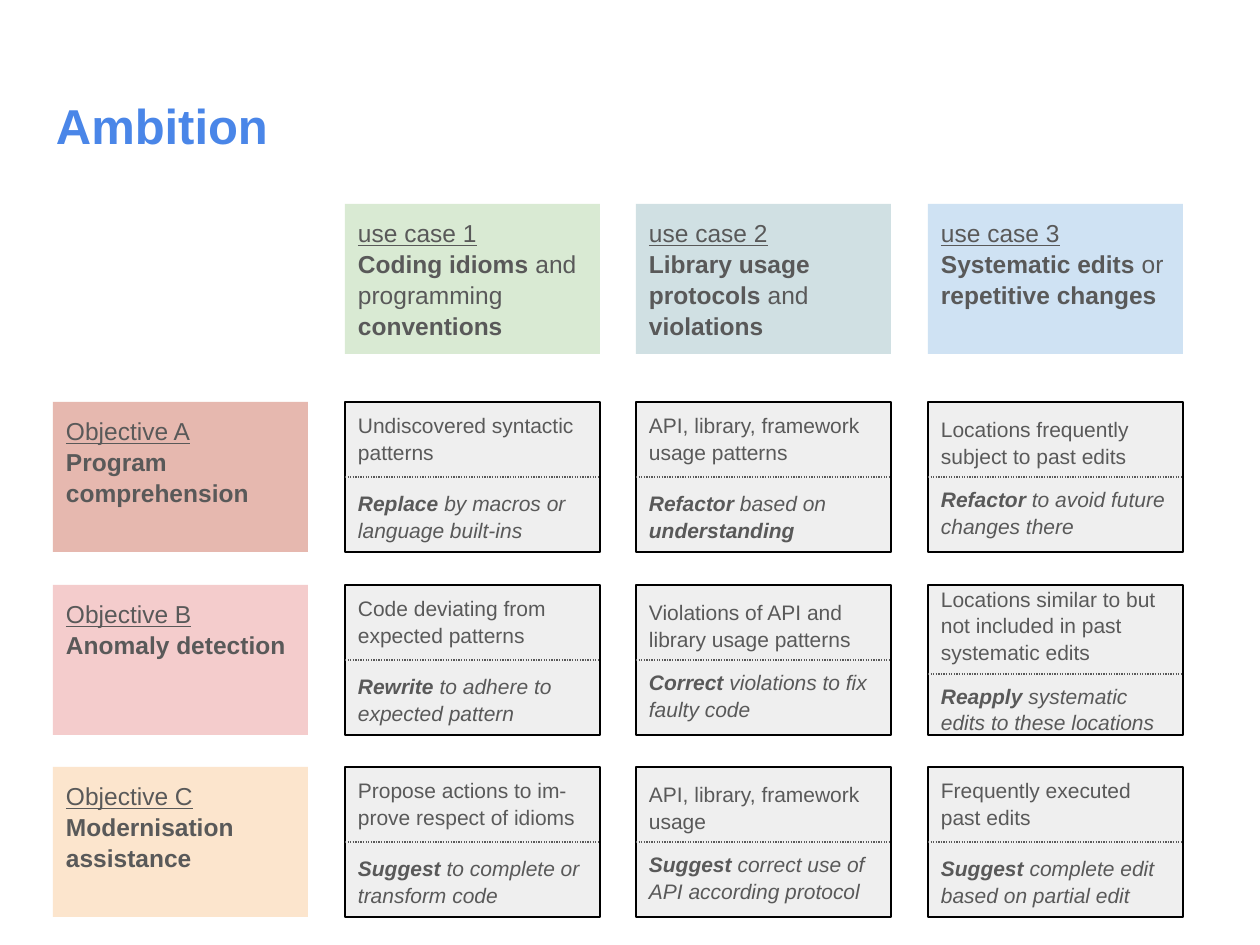
from dataclasses import dataclass

import pptx
import pptx.dml.color
import pptx.enum.dml
import pptx.enum.shapes
import pptx.enum.text
import pptx.oxml.ns
import pptx.util
from lxml import etree
from pptx.shapes.autoshape import Shape
from pptx.slide import Slide
from pptx.text.text import _Paragraph as Paragraph

EMU_PER_PX = 914400 / 126
COLUMNS = (53, 345, 636, 928)
ROWS = (204, 402, 585, 767)
BOX_WIDTH, BOX_HEIGHT = 255, 150
MARGIN = 13


@dataclass(frozen=True)
class Theme:
    font: str = "Arial"
    title: str = "4A86E8"
    text: str = "595959"
    cell: str = "EFEFEF"
    border: str = "000000"
    title_size: int = 28
    label_size: int = 14
    cell_size: int = 12
    line_spacing: float = 1.05


@dataclass(frozen=True)
class Span:
    text: str
    bold: bool = False


@dataclass(frozen=True)
class Label:
    column: int
    row: int
    fill: str
    heading: str
    spans: tuple[Span, ...]


@dataclass(frozen=True)
class Cell:
    column: int
    row: int
    finding: str
    action: tuple[Span, ...]
    gap: float = 14.4
    divider: int = 75
    border: float = 0.75


THEME = Theme()

LABELS = (
    Label(1, 0, "D9EAD3", "use case 1", (
        Span("Coding idioms", True), Span(" and programming "), Span("conventions", True))),
    Label(2, 0, "D0E0E3", "use case 2", (
        Span("Library usage protocols", True), Span(" and "), Span("violations", True))),
    Label(3, 0, "CFE2F3", "use case 3", (
        Span("Systematic edits", True), Span(" or "), Span("repetitive changes", True))),
    Label(0, 1, "E6B8AF", "Objective A", (Span("Program comprehension", True),)),
    Label(0, 2, "F4CCCC", "Objective B", (Span("Anomaly detection", True),)),
    Label(0, 3, "FCE5CD", "Objective C", (Span("Modernisation assistance", True),)),
)

CELLS = (
    Cell(1, 1, "Undiscovered syntactic patterns",
         (Span("Replace", True), Span(" by macros or language built-ins")), border=1.5),
    Cell(2, 1, "API, library, framework usage patterns",
         (Span("Refactor", True), Span(" based on "), Span("understanding", True))),
    Cell(3, 1, "Locations frequently subject to past edits",
         (Span("Refactor", True), Span(" to avoid future changes there")), gap=10),
    Cell(1, 2, "Code deviating from expected patterns",
         (Span("Rewrite", True), Span(" to adhere to expected pattern"))),
    Cell(2, 2, "Violations of API and library usage patterns",
         (Span("Correct", True), Span(" violations to fix faulty code")), gap=10),
    Cell(3, 2, "Locations similar to but not included in past systematic edits",
         (Span("Reapply", True), Span(" systematic edits to these locations")),
         gap=10, divider=89),
    Cell(1, 3, "Propose actions to im- prove respect of idioms",
         (Span("Suggest", True), Span(" to complete or transform code"))),
    Cell(2, 3, "API, library, framework usage",
         (Span("Suggest", True), Span(" correct use of API according protocol")), gap=10),
    Cell(3, 3, "Frequently executed past edits",
         (Span("Suggest", True), Span(" complete edit based on partial edit"))),
)


def px(length: int) -> pptx.util.Emu:
    return pptx.util.Emu(round(length * EMU_PER_PX))


def rgb(value: str) -> pptx.dml.color.RGBColor:
    return pptx.dml.color.RGBColor.from_string(value)


def prepare_text(shape: Shape, anchor: pptx.enum.text.MSO_ANCHOR) -> Paragraph:
    frame = shape.text_frame
    frame.word_wrap = True
    frame.vertical_anchor = anchor
    frame.margin_left = frame.margin_right = px(MARGIN)
    frame.margin_top = frame.margin_bottom = px(MARGIN)
    return frame.paragraphs[0]


def style(paragraph: Paragraph, size: int, color: str) -> None:
    paragraph.alignment = pptx.enum.text.PP_ALIGN.LEFT
    paragraph.font.name = THEME.font
    paragraph.font.size = pptx.util.Pt(size)
    paragraph.font.color.rgb = rgb(color)


def add_spans(paragraph: Paragraph, spans: tuple[Span, ...]) -> None:
    for span in spans:
        run = paragraph.add_run()
        run.text = span.text
        run.font.bold = span.bold


def add_box(slide: Slide, column: int, row: int, fill: str) -> Shape:
    shape = slide.shapes.add_shape(
        pptx.enum.shapes.MSO_SHAPE.RECTANGLE,
        px(COLUMNS[column]), px(ROWS[row]), px(BOX_WIDTH), px(BOX_HEIGHT))
    shape.shadow.inherit = False
    shape.fill.solid()
    shape.fill.fore_color.rgb = rgb(fill)
    shape.line.fill.background()
    return shape


def add_title(slide: Slide, text: str) -> None:
    shape = slide.shapes.add_textbox(px(43), px(82), px(1174), px(105))
    paragraph = prepare_text(shape, pptx.enum.text.MSO_ANCHOR.TOP)
    paragraph.text = text
    style(paragraph, THEME.title_size, THEME.title)
    paragraph.font.bold = True


def add_label(slide: Slide, label: Label) -> None:
    shape = add_box(slide, label.column, label.row, label.fill)
    paragraph = prepare_text(shape, pptx.enum.text.MSO_ANCHOR.TOP)
    heading = paragraph.add_run()
    heading.text = label.heading
    heading.font.underline = True
    paragraph.add_line_break()
    add_spans(paragraph, label.spans)
    style(paragraph, THEME.label_size, THEME.text)
    paragraph.line_spacing = THEME.line_spacing


def add_cell(slide: Slide, cell: Cell) -> None:
    shape = add_box(slide, cell.column, cell.row, THEME.cell)
    shape.line.color.rgb = rgb(THEME.border)
    shape.line.width = pptx.util.Pt(cell.border)
    finding = prepare_text(shape, pptx.enum.text.MSO_ANCHOR.MIDDLE)
    finding.text = cell.finding
    action = shape.text_frame.add_paragraph()
    add_spans(action, cell.action)
    for paragraph in (finding, action):
        style(paragraph, THEME.cell_size, THEME.text)
        paragraph.line_spacing = THEME.line_spacing
    action.font.italic = True
    action.space_before = pptx.util.Pt(cell.gap)


def add_divider(slide: Slide, cell: Cell) -> None:
    left, top = COLUMNS[cell.column], ROWS[cell.row] + cell.divider
    line = slide.shapes.add_connector(
        pptx.enum.shapes.MSO_CONNECTOR.STRAIGHT,
        px(left), px(top), px(left + BOX_WIDTH), px(top))
    line.line.color.rgb = rgb(THEME.text)
    line.line.width = pptx.util.Pt(0.75)
    line.line.dash_style = pptx.enum.dml.MSO_LINE.ROUND_DOT
    properties = line._element.spPr
    etree.SubElement(properties, pptx.oxml.ns.qn("a:effectLst"))


def main() -> None:
    presentation = pptx.Presentation()
    presentation.slide_width = px(1260)
    presentation.slide_height = px(945)
    slide = presentation.slides.add_slide(presentation.slide_layouts[6])
    add_title(slide, "Ambition")
    for label in LABELS:
        add_label(slide, label)
    for cell in CELLS:
        add_cell(slide, cell)
        add_divider(slide, cell)
    presentation.save("out.pptx")


if __name__ == "__main__":
    main()
